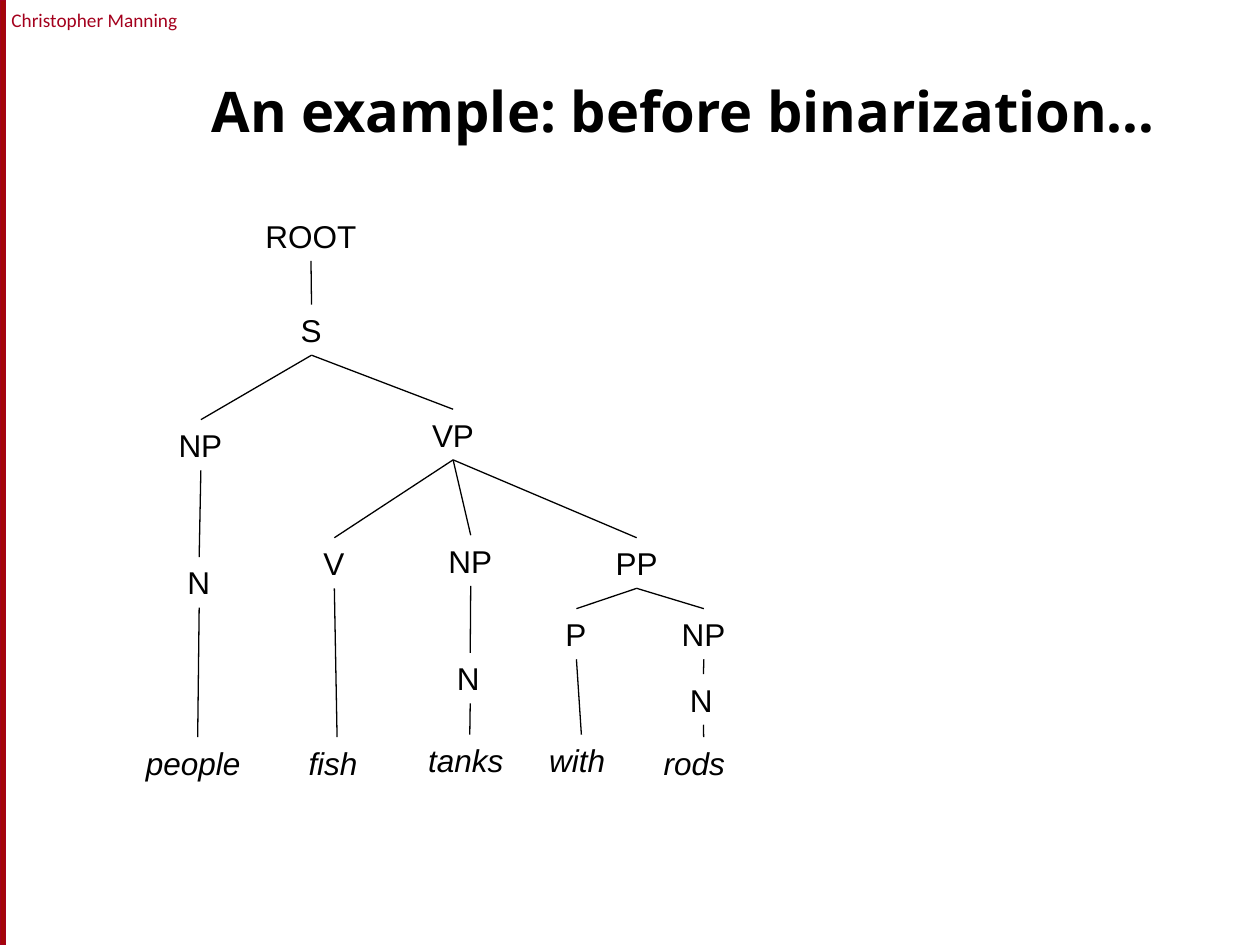
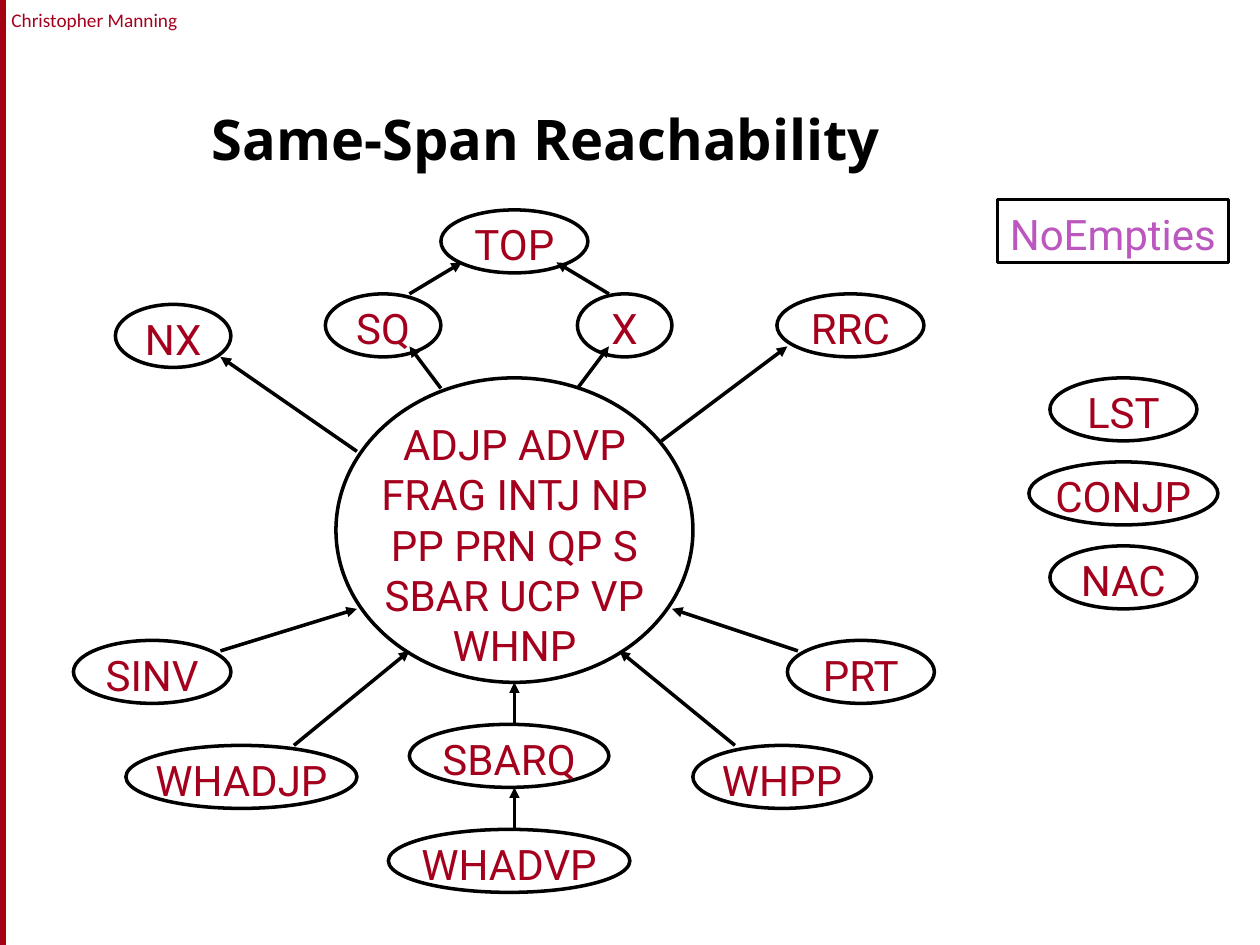
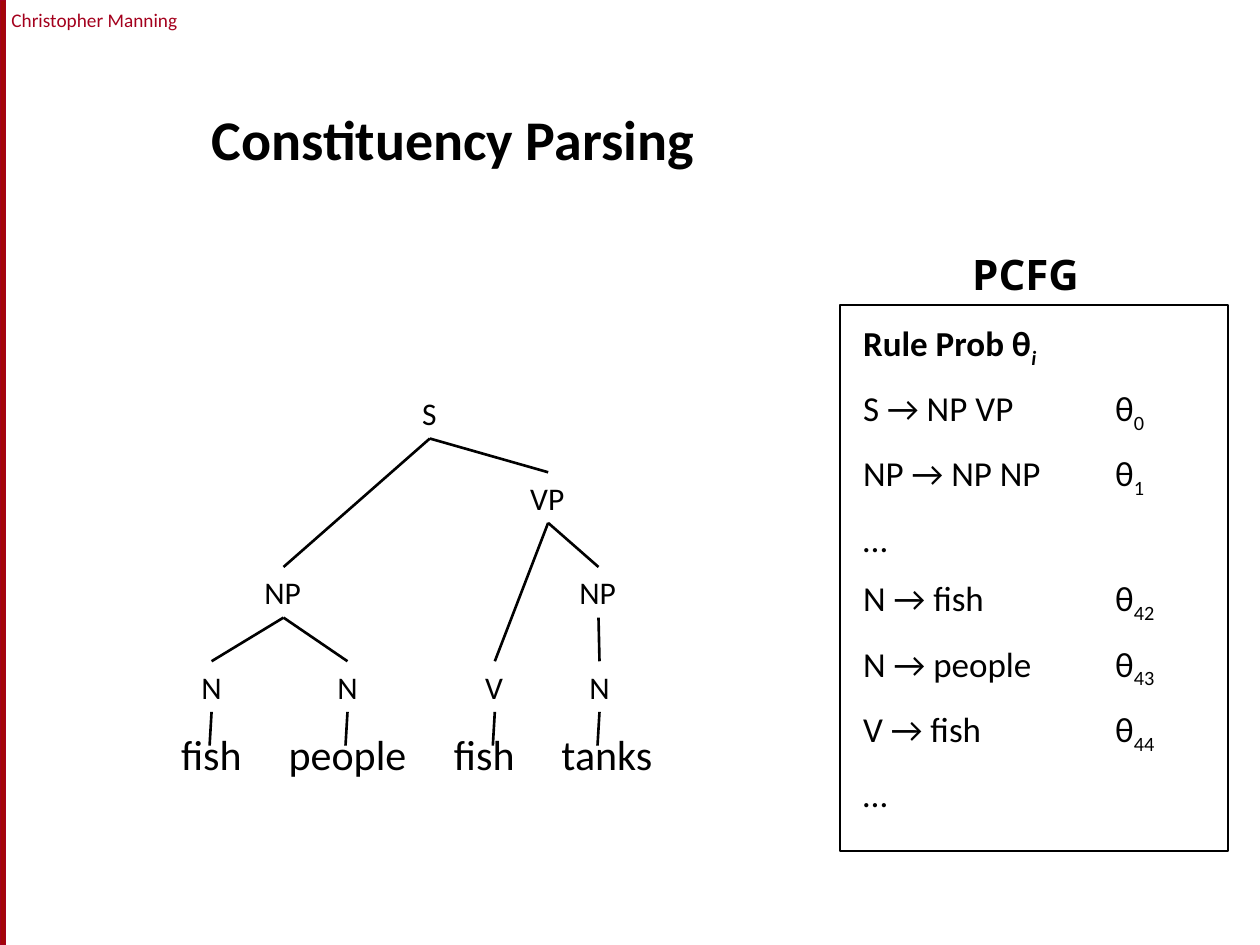
from lxml.etree import SubElement
from pptx import Presentation
from pptx.dml.color import RGBColor
from pptx.enum.shapes import MSO_CONNECTOR, MSO_SHAPE
from pptx.enum.text import MSO_ANCHOR as ANCHOR, MSO_AUTO_SIZE as AUTO, PP_ALIGN as ALIGN
from pptx.oxml.ns import qn
from pptx.util import Cm, Pt

BLACK, CARDINAL, BAND, VIOLET = "000000", "A4001D", "A40508", "BB57BE"
TITLE_ONLY = 5
BOTTOM, TOP = 2, 0  # connection sites
NODE_HEIGHT = 1.02
GRID = Cm(2.54) // 12  # unit of the reachability diagram

# key, parent, left, top, width; the label is the key without its number
SENTENCE_TREE = [
    ("ROOT", None, 2.41, 0, 2.34),
    ("S", "ROOT", 3.12, 1.9, 0.94),
    ("NP1", "S", 0.66, 4.22, 1.4),
    ("VP", "S", 5.77, 4.01, 1.35),
    ("N1", "NP1", 0.84, 6.99, 0.97),
    ("people", "N1", 0, 10.62, 2.59),
    ("V", "VP", 3.58, 6.6, 0.94),
    ("NP2", "VP", 6.1, 6.55, 1.4),
    ("PP", "VP", 9.47, 6.6, 1.35),
    ("fish", "V", 3.28, 10.62, 1.65),
    ("N2", "NP2", 6.27, 8.92, 1.04),
    ("tanks", "N2", 5.69, 10.57, 2.18),
    ("P", "PP", 8.46, 8.03, 0.94),
    ("NP3", "PP", 10.8, 8.03, 1.4),
    ("with", "P", 8.13, 10.57, 1.8),
    ("N3", "NP3", 10.97, 9.35, 1.04),
    ("rods", "N3", 10.44, 10.62, 2.11),
]
PARSE_TREE = [
    ("S", None, 4.45, 0, 0.81),
    ("NP1", "S", 1.27, 3.61, 1.27),
    ("VP", "S", 6.63, 1.7, 1.22),
    ("NP2", "VP", 7.62, 3.61, 1.27),
    ("N1", "NP1", 0, 5.51, 0.91),
    ("N2", "NP1", 2.74, 5.51, 0.91),
    ("V", "VP", 5.72, 5.51, 0.89),
    ("N3", "NP2", 7.82, 5.51, 0.91),
]
# word, its tag in PARSE_TREE, left
PARSED_WORDS = [("fish", "N1", -0.41), ("people", "N2", 1.76),
                ("fish", "V", 5.09), ("tanks", "N3", 7.26)]

# category, left, top, width in grid units
CATEGORIES = [
    ("TOP", 35, 1, 14), ("SQ", 24, 9, 11), ("X", 48, 9, 9),
    ("NX", 4, 10, 11), ("RRC", 67, 9, 14),
    ("SINV", 0, 42, 15), ("PRT", 68, 42, 14),
    ("WHADJP", 5, 52, 22), ("SBARQ", 32, 50, 19), ("WHPP", 59, 52, 17),
    ("WHADVP", 30, 60, 23),
    ("LST", 93, 17, 14), ("CONJP", 91, 25, 18), ("NAC", 93, 33, 14),
]
CORE = "ADJP ADVP\nFRAG INTJ NP\nPP PRN QP S\nSBAR UCP VP\nWHNP"
REACH_ARROWS = [
    (32, 9, 37, 6), (51, 9, 46, 6), (35, 18, 32, 14), (48, 18, 51, 14),
    (27, 24, 14, 15), (56, 23, 68, 14), (14, 43, 27, 39), (69, 43, 57, 39),
    (21, 52, 32, 43), (63, 52, 52, 43), (42, 50, 42, 46), (42, 60, 42, 56),
]

RULES = [("S → NP VP", "0"), ("NP → NP NP", "1"), ("…", ""), ("N → fish", "42"),
         ("N → people", "43"), ("V → fish", "44"), ("…", "")]


def rgb(hex_color):
    return RGBColor.from_string(hex_color)


def style(run, font, size, color=BLACK, bold=False, italic=False):
    f = run.font
    f.name, f.size, f.bold, f.italic = font, Pt(size), bold, italic
    f.color.rgb = rgb(color)


def fill_text(tf, text, align, font, size, **look):
    tf.text = text
    for p in tf.paragraphs:
        p.alignment = align
        for r in p.runs:
            style(r, font, size, **look)


def set_insets(tf, left, top, right=0.0, bottom=0.0):
    tf.margin_left, tf.margin_top = Cm(left), Cm(top)
    tf.margin_right, tf.margin_bottom = Cm(right), Cm(bottom)


def add_label(s, left, top, width, height, text, font, size, **look):
    """Add a left-aligned text box, lengths in centimetres."""
    tb = s.shapes.add_textbox(Cm(left), Cm(top), Cm(width), Cm(height))
    tb.text_frame.word_wrap = True
    set_insets(tb.text_frame, 0.25, 0.13)
    fill_text(tb.text_frame, text, ALIGN.LEFT, font, size, **look)
    return tb


def add_outline(s, kind, left, top, width, height, weight):
    sp = s.shapes.add_shape(kind, left, top, width, height)
    sp.shadow.inherit = False
    sp.fill.background()
    sp.line.color.rgb = rgb(BLACK)
    sp.line.width = Pt(weight)
    return sp


def add_line(s, x1, y1, x2, y2, weight, arrow=False):
    line = s.shapes.add_connector(MSO_CONNECTOR.STRAIGHT, x1, y1, x2, y2)
    line.line.width = Pt(weight)
    line.line.color.rgb = rgb(BLACK)
    if arrow:
        SubElement(line.line._get_or_add_ln(), qn("a:tailEnd"), type="triangle")
    SubElement(line._element.spPr, qn("a:effectLst"))
    return line


def add_slide(prs, title, font="Open Sans", anchor=ANCHOR.BOTTOM):
    """Add a slide with the red band, the author line and a title."""
    s = prs.slides.add_slide(prs.slide_layouts[TITLE_ONLY])
    band = s.shapes.add_shape(MSO_SHAPE.RECTANGLE, 0, 0, Cm(0.12), prs.slide_height)
    band.shadow.inherit = False
    band.fill.solid()
    band.fill.fore_color.rgb = rgb(BAND)
    band.line.color.rgb = rgb(CARDINAL)
    band.line.width = Pt(0.75)
    author = add_label(s, 0.1, 0.03, 3.61, 0.74, "Christopher Manning",
                       "Calibri", 11, color=CARDINAL)
    set_insets(author.text_frame, 0, 0.13)
    author.text_frame.paragraphs[0].alignment = ALIGN.CENTER

    sp = s.shapes.title
    sp.left, sp.top, sp.width, sp.height = Cm(4.01), Cm(0.84), Cm(20.52), Cm(2.74)
    tf = sp.text_frame
    tf.auto_size = AUTO.NONE
    tf.vertical_anchor = anchor
    fill_text(tf, title, ALIGN.LEFT, font, 32, bold=True)
    return s


def draw_tree(s, left, top, nodes, font, weight):
    """Draw the nodes, join each to its parent and return the boxes by key."""
    boxes = {}
    for key, parent, x, y, width in nodes:
        boxes[key] = add_label(s, left + x, top + y, width, NODE_HEIGHT,
                               key.rstrip("123"), font, 18, italic=key.islower())
        if parent:
            branch = add_line(s, 0, 0, 0, 0, weight)
            branch.begin_connect(boxes[parent], BOTTOM)
            branch.end_connect(boxes[key], TOP)
    return boxes


def draw_parsed_words(s, left, top, tags):
    for word, tag, x in PARSED_WORDS:
        add_label(s, left + x, top + 6.73, 3, 1.29, word, "Calibri", 24)
        middle = tags[tag].left + tags[tag].width // 2
        stem = add_line(s, middle, 0, middle - Cm(0.04), Cm(top + 7.21), 1.5)
        stem.begin_connect(tags[tag], BOTTOM)


def draw_reachability(s, left, top):
    def add_category(kind, text, x, y, width, height=6, drop=0.1, color=CARDINAL):
        sp = add_outline(s, kind, left + x * GRID, top + y * GRID,
                         width * GRID, height * GRID, 2)
        tf = sp.text_frame
        tf.word_wrap = False
        tf.vertical_anchor = ANCHOR.MIDDLE
        set_insets(tf, 0, drop)
        fill_text(tf, text, ALIGN.CENTER, "Roboto", 24, color=color)

    add_category(MSO_SHAPE.OVAL, CORE, 25, 17, 34, 29, drop=0.57)
    for category in CATEGORIES:
        add_category(MSO_SHAPE.OVAL, *category)
    add_category(MSO_SHAPE.RECTANGLE, "NoEmpties", 88, 0, 22, color=VIOLET)
    for x1, y1, x2, y2 in REACH_ARROWS:
        add_line(s, left + x1 * GRID, top + y1 * GRID,
                 left + x2 * GRID, top + y2 * GRID, 2, arrow=True)


def add_rule(p, text, subscript, bold=False):
    p.alignment = ALIGN.LEFT
    p.space_after = Pt(10)
    tabs = SubElement(p._p.get_or_add_pPr(), qn("a:tabLst"))
    SubElement(tabs, qn("a:tab"), pos=str(Cm(5.08)), algn="l")
    r = p.add_run()
    r.text = text
    style(r, "Calibri", 20, bold=bold)
    if subscript:
        sub = p.add_run()
        sub.text = subscript
        style(sub, "Calibri", 20, bold=bold, italic=bold)
        sub._r.get_or_add_rPr().set("baseline", "-25000")


def draw_grammar(s, left, top):
    add_label(s, left + 2.41, top, 2.87, 1.27, "PCFG", "Open Sans", 24, bold=True)
    frame = add_outline(s, MSO_SHAPE.RECTANGLE, Cm(left), Cm(top + 1.27),
                        Cm(7.82), Cm(11), 1.25)
    tf = frame.text_frame
    tf.vertical_anchor = ANCHOR.TOP
    set_insets(tf, 0.46, 0.33)
    add_rule(tf.paragraphs[0], "Rule Prob θ", "i", bold=True)
    for rule, index in RULES:
        add_rule(tf.add_paragraph(), f"{rule}\tθ" if index else rule, index)


def main():
    prs = Presentation()
    prs.slide_width, prs.slide_height = Cm(25.4), Cm(19.05)

    s = add_slide(prs, "An example: before binarization…", anchor=ANCHOR.MIDDLE)
    draw_tree(s, 2.69, 4.24, SENTENCE_TREE, "Arial", 0.75)

    s = add_slide(prs, "Same-Span Reachability")
    draw_reachability(s, Cm(1.48), Cm(4.02))

    s = add_slide(prs, "Constituency Parsing", font="Calibri")
    tags = draw_tree(s, 3.81, 7.82, PARSE_TREE, "Calibri", 1.5)
    draw_parsed_words(s, 3.81, 7.82, tags)
    draw_grammar(s, 16.94, 4.88)

    prs.save("out.pptx")


if __name__ == "__main__":
    main()
